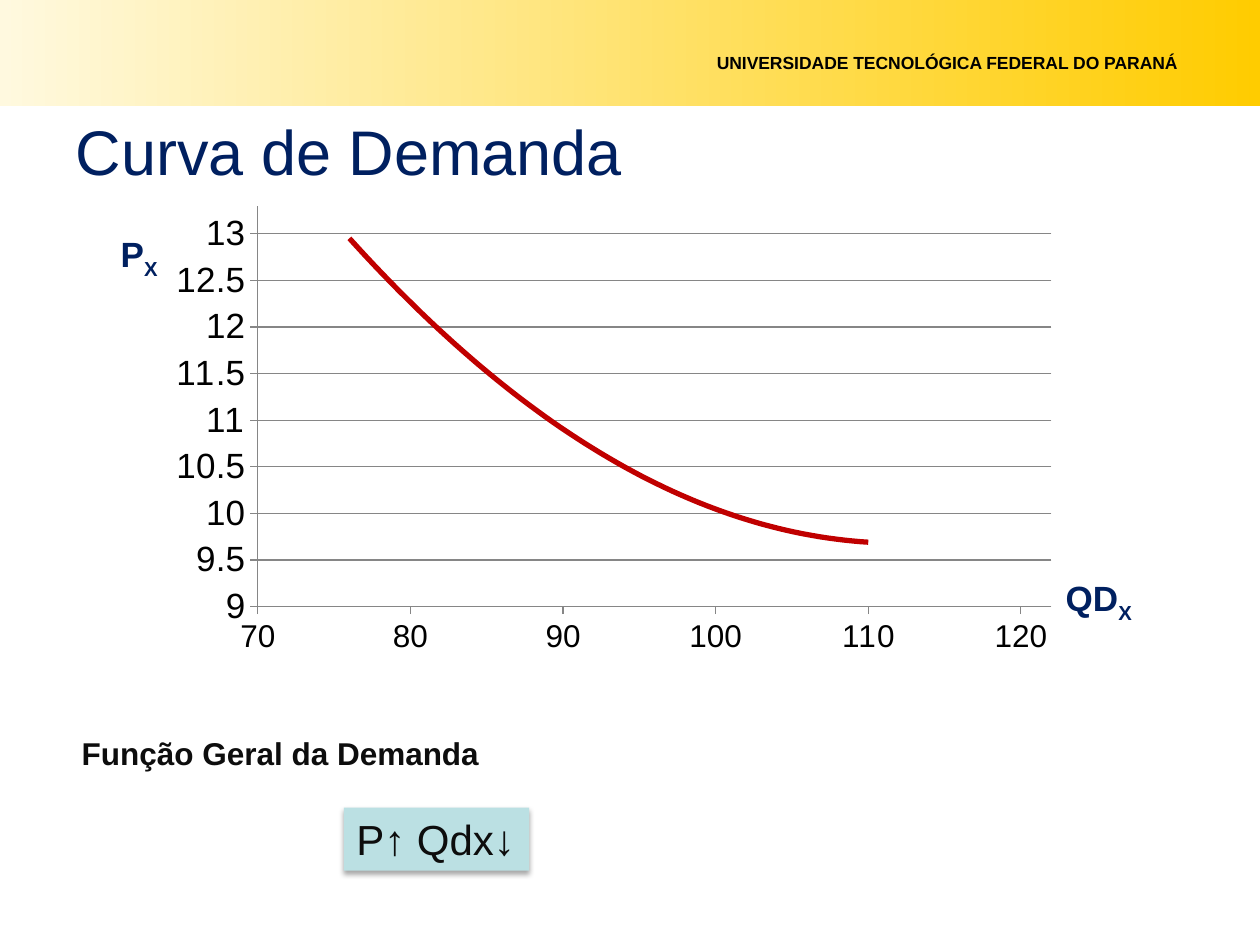
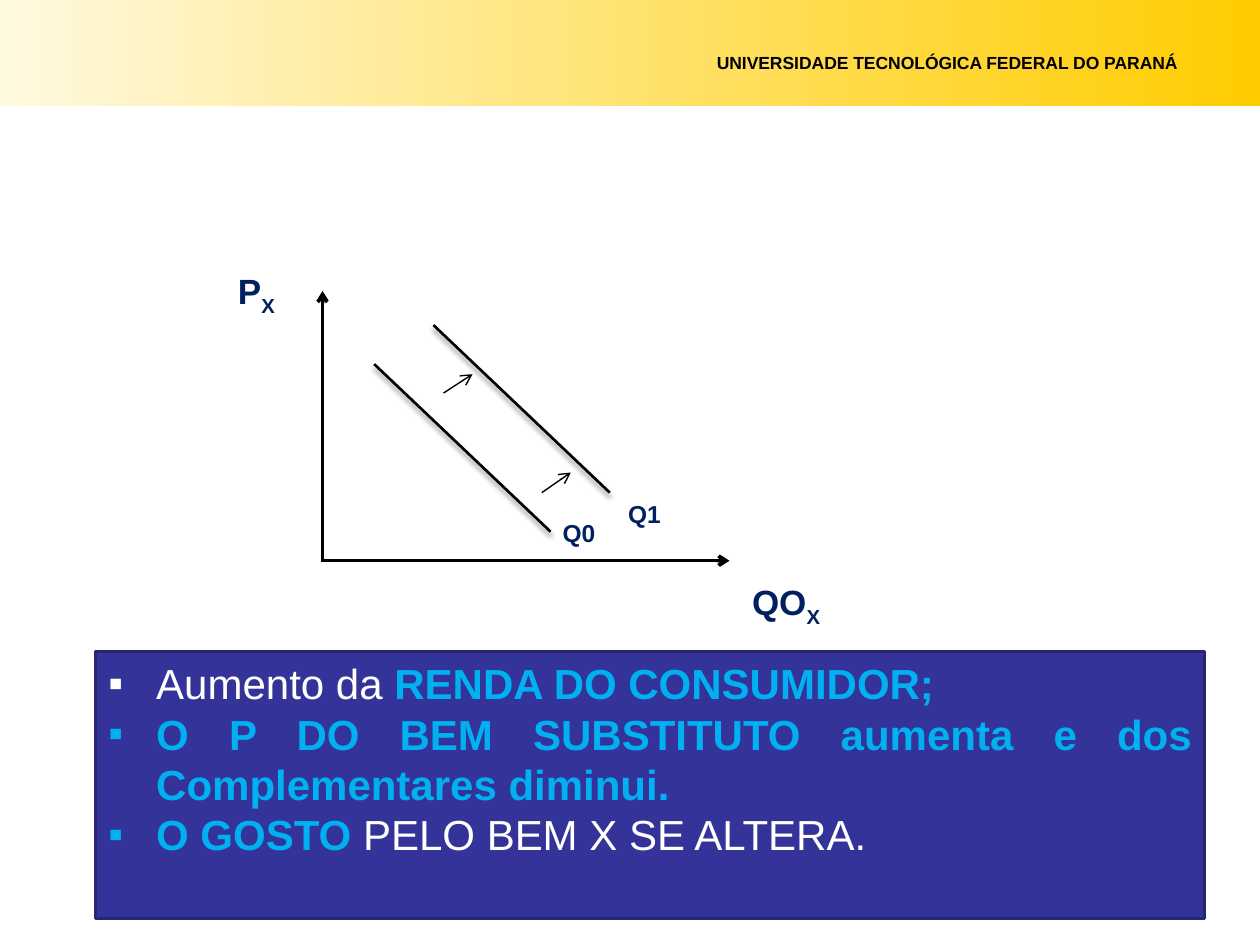
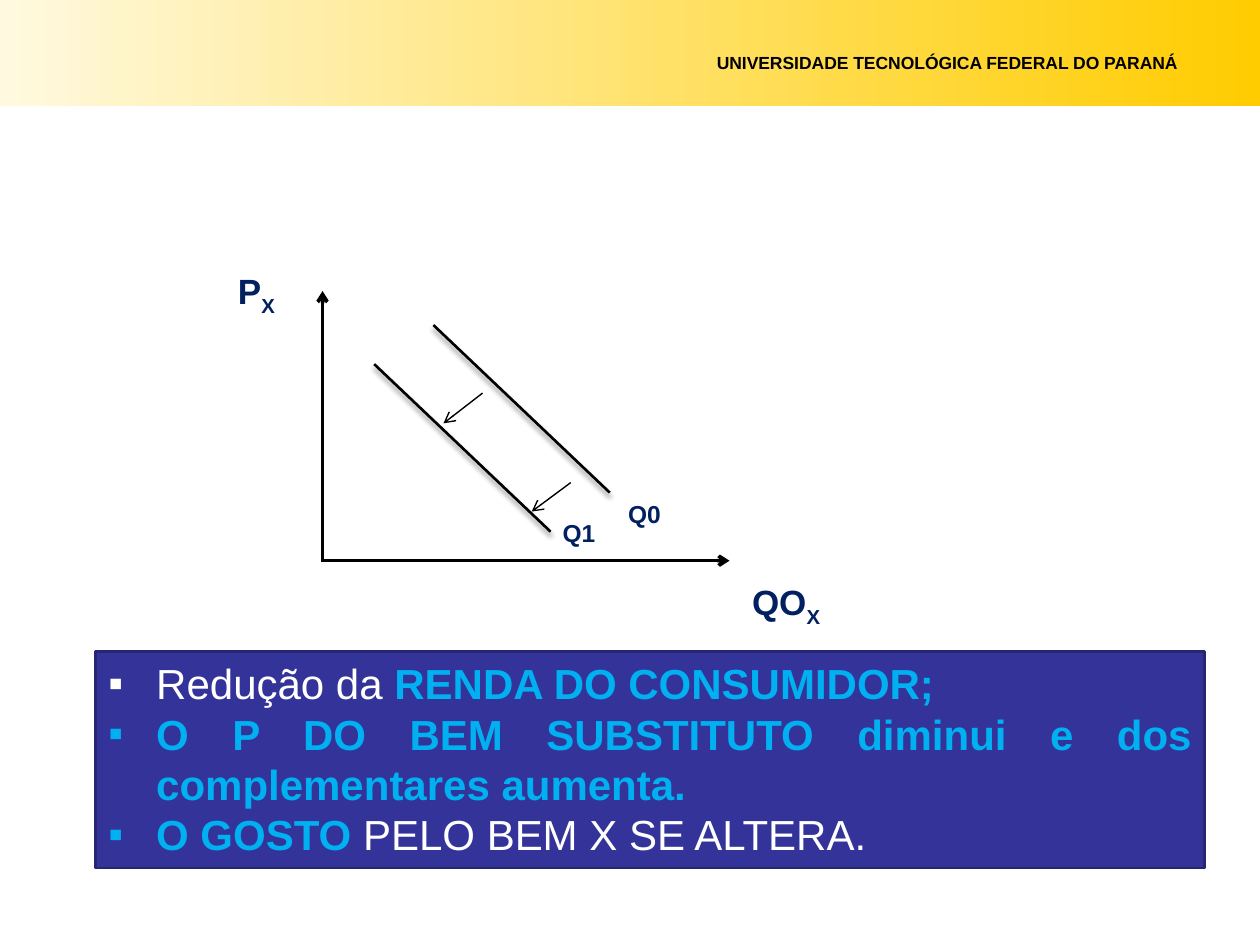
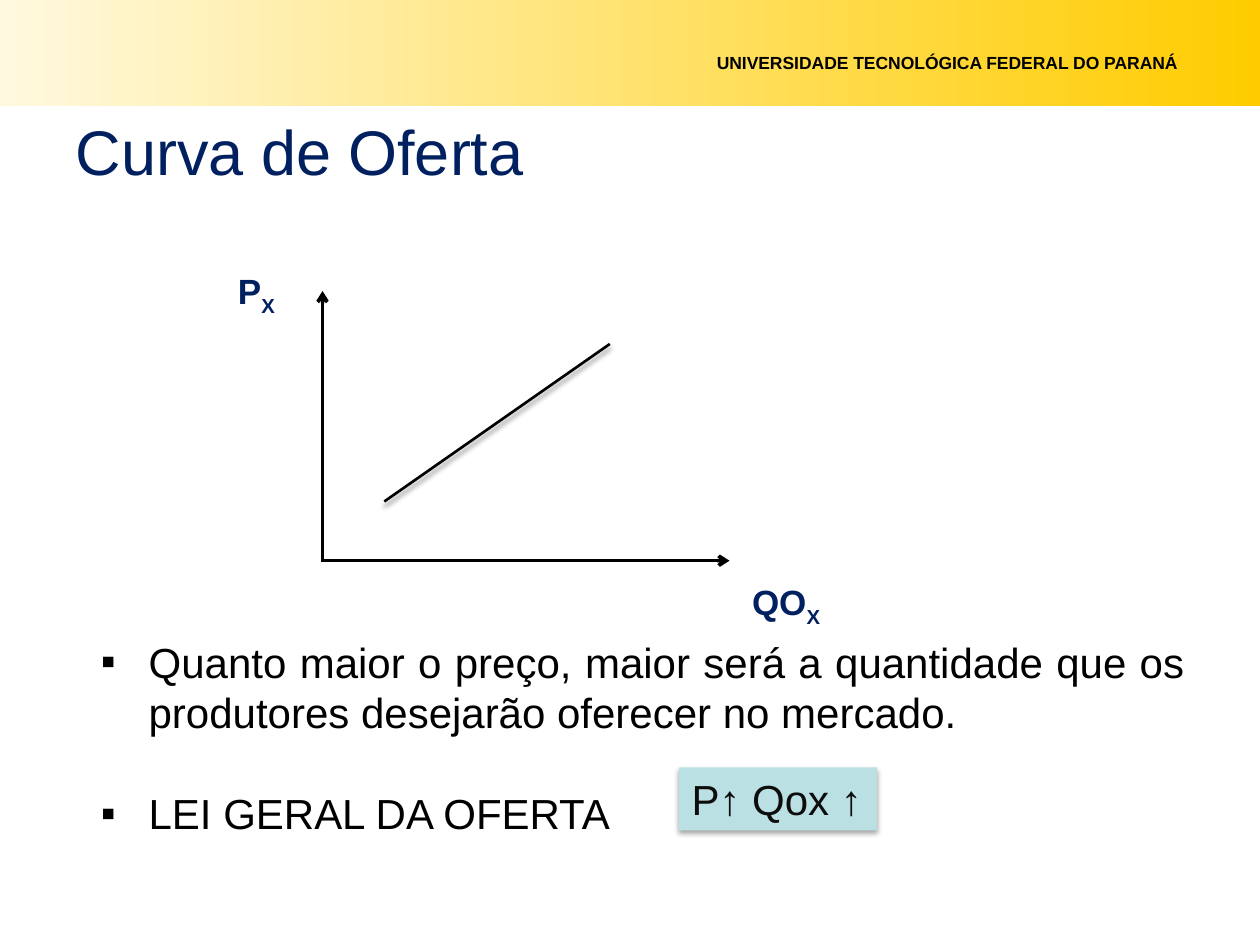
"""Build four slides on the demand and supply curves."""
import lxml.etree
import pptx
import pptx.chart.data
import pptx.dml.color
import pptx.enum.chart
import pptx.enum.shapes
import pptx.enum.text
import pptx.oxml
import pptx.oxml.ns
import pptx.util

PX = 9144
FONT = "Arial"
NAVY, BLACK, INK, WHITE = "002060", "000000", "0D0D0D", "FFFFFF"
CYAN, INDIGO, GREY = "00B0F0", "333399", "868686"
LEFT = pptx.enum.text.PP_ALIGN.LEFT
CENTER = pptx.enum.text.PP_ALIGN.CENTER
RECTANGLE = pptx.enum.shapes.MSO_SHAPE.RECTANGLE
FIT = pptx.enum.text.MSO_AUTO_SIZE.SHAPE_TO_FIT_TEXT
qn = pptx.oxml.ns.qn
rgb = pptx.dml.color.RGBColor.from_string


def write(shape, text, size, color=NAVY, bold=True, align=LEFT, subscript="", wrap=True):
    """Fill a shape with one formatted line and an optional subscript."""
    shape.text_frame.word_wrap = wrap
    para = shape.text_frame.paragraphs[0]
    para.alignment = align
    para.font.name = FONT
    para.font.size = pptx.util.Pt(size)
    para.font.bold = bold
    para.font.color.rgb = rgb(color)
    para.add_run().text = text
    if subscript:
        span = para.add_run()
        span.text = subscript
        span._r.get_or_add_rPr().set("baseline", "-25000")


def set_shadow(shape, opacity=0, distance=0):
    """Give a shape a soft shadow below it, or none at zero opacity."""
    effects = lxml.etree.SubElement(shape.element.spPr, qn("a:effectLst"))
    if opacity:
        shadow = lxml.etree.SubElement(
            effects, qn("a:outerShdw"), blurRad=str(pptx.util.Pt(3)),
            dist=str(pptx.util.Pt(distance)), dir="5400000", rotWithShape="0")
        tint = lxml.etree.SubElement(shadow, qn("a:srgbClr"), val=BLACK)
        lxml.etree.SubElement(tint, qn("a:alpha"), val=str(opacity * 1000))


deck = pptx.Presentation()
deck.slide_width = 1000 * PX
deck.slide_height = 750 * PX
content_layout, title_layout = deck.slide_layouts[1], deck.slide_layouts[5]
demand = deck.slides.add_slide(title_layout)

band = demand.shapes.add_shape(RECTANGLE, 0, 0, 1000 * PX, 84 * PX)
band.fill.gradient()
band.fill.gradient_angle = 0
for stop, color in zip(band.fill.gradient_stops, ("FFF9DF", "FFCC00")):
    stop.color.rgb = rgb(color)
band.line.fill.background()
set_shadow(band)
header = demand.shapes.add_textbox(559 * PX, 36 * PX, 441 * PX, 27 * PX)
write(header, "UNIVERSIDADE TECNOLÓGICA FEDERAL DO PARANÁ", 10, BLACK)
for number, part in enumerate((band, header)):
    part.element.nvSpPr.cNvPr.set("id", str(20 + number))
    deck.slide_master.shapes.element.insert(2 + number, part.element)

points = pptx.chart.data.XyChartData()
curve = points.add_series("Series 1")
for quantity, price in ((76, 13), (81, 12), (90, 11), (100, 10), (110, 9.7)):
    curve.add_data_point(quantity, price)
chart = demand.shapes.add_chart(
    pptx.enum.chart.XL_CHART_TYPE.XY_SCATTER,
    125 * PX, 156 * PX, 724 * PX, 370 * PX, points).chart
chart.has_legend = False
chart.has_title = False
chart.font.name = FONT
chart.font.size = pptx.util.Pt(10)
chart.font.color.rgb = rgb(BLACK)
for axis, low, high, step, size in (
        (chart.category_axis, 70, 122, 10, 18), (chart.value_axis, 9, 13.3, 0.5, 20)):
    axis.minimum_scale, axis.maximum_scale, axis.major_unit = low, high, step
    axis.has_major_gridlines = axis is not chart.category_axis and size == 20
    axis.tick_labels.font.size = pptx.util.Pt(size)
    axis.tick_labels.number_format = "General"
    axis.tick_labels.number_format_is_linked = False
    axis.format.line.color.rgb = rgb(GREY)
chart.value_axis.major_gridlines.format.line.color.rgb = rgb(GREY)

plot = chart.plots[0]
plot.vary_by_categories = False
series = plot.series[0]
series.smooth = False
series.format.line.fill.background()
series.marker.style = pptx.enum.chart.XL_MARKER_STYLE.NONE
trend = pptx.oxml.parse_xml(
    f'<c:trendline {pptx.oxml.ns.nsdecls("c", "a")}><c:spPr><a:ln w="38100">'
    '<a:solidFill><a:srgbClr val="C00000"/></a:solidFill></a:ln></c:spPr>'
    '<c:trendlineType val="poly"/><c:order val="2"/>'
    '<c:dispRSqr val="0"/><c:dispEq val="0"/></c:trendline>')
series._element.find(qn("c:xVal")).addprevious(trend)

plot_area = chart._chartSpace.chart.plotArea
for former in plot_area.findall(qn("c:layout")):
    plot_area.remove(former)
layout = lxml.etree.Element(qn("c:layout"))
manual = lxml.etree.SubElement(layout, qn("c:manualLayout"))
for tag, value in (
        ("layoutTarget", "inner"), ("xMode", "edge"), ("yMode", "edge"),
        ("x", "0.11"), ("y", "0.02"), ("w", "0.87"), ("h", "0.86")):
    lxml.etree.SubElement(manual, qn("c:" + tag), val=value)
plot_area.insert(0, layout)

heading = demand.shapes.add_textbox(55 * PX, 578 * PX, 339 * PX, 40 * PX)
write(heading, "Função Geral da Demanda", 18, INK, wrap=False)

axes = [(256, 445, 579, 445), (256, 446, 256, 231)]
demand_curves = [(297, 289, 437, 422), (344, 258, 484, 391)]
taste = [("O GOSTO ", CYAN, True), ("PELO BEM X SE ALTERA.", WHITE, False)]
graphs = [
    ("", (76, 517, 880, 212), INDIGO, [
        [("Aumento da ", WHITE, False), ("RENDA DO CONSUMIDOR;", CYAN, True)],
        [("O P DO BEM SUBSTITUTO aumenta e dos Complementares diminui.", CYAN, True)],
        taste], demand_curves, ("Q0", "Q1"),
     [(430, 391, 453, 375), (352, 312, 375, 297)]),
    ("", (76, 517, 880, 172), INDIGO, [
        [("Redução da ", WHITE, False), ("RENDA DO CONSUMIDOR;", CYAN, True)],
        [("O P DO BEM SUBSTITUTO diminui e dos complementares aumenta.", CYAN, True)],
        taste], demand_curves, ("Q1", "Q0"),
     [(453, 383, 422, 406), (383, 312, 352, 336)]),
    ("Curva de Oferta", (70, 500, 880, 172), None, [
        [("Quanto maior o preço, maior será a quantidade que os produtores "
          "desejarão oferecer no mercado.", BLACK, False)],
        [("LEI GERAL DA OFERTA", BLACK, False)]],
     [(305, 398, 484, 273)], (), []),
]
titles = [(demand, "Curva de Demanda")]
axis_labels = [(demand, "QD", (836, 453, 75, 44), LEFT), (demand, "P", (86, 180, 75, 44), LEFT)]

for title, place, fill, items, curves, names, shifts in graphs:
    page = deck.slides.add_slide(content_layout)
    titles.append((page, title))
    axis_labels += [(page, "QO", (587, 456, 102, 44), LEFT),
                    (page, "P", (166, 209, 75, 44), CENTER)]

    body = page.placeholders[1]
    body.left, body.top, body.width, body.height = [length * PX for length in place]
    if fill:
        body.fill.solid()
        body.fill.fore_color.rgb = rgb(fill)
        body.line.color.rgb = rgb("262671")
        body.line.width = pptx.util.Pt(1.5)
    frame = body.text_frame
    frame.auto_size = pptx.enum.text.MSO_AUTO_SIZE.NONE
    for index, item in enumerate(items):
        para = frame.add_paragraph() if index else frame.paragraphs[0]
        para.alignment = pptx.enum.text.PP_ALIGN.JUSTIFY
        para.line_spacing = pptx.util.Pt(28.8)
        para.space_before = pptx.util.Pt(0 if fill or not index else 28.8)
        para.font.name = FONT
        para.font.size = pptx.util.Pt(24)
        properties = para._p.get_or_add_pPr()
        properties.set("marL", str(38 * PX))
        properties.set("indent", str(-38 * PX))
        bullet = lxml.etree.Element(qn("a:buChar"), char="▪")
        properties.find(qn("a:defRPr")).addprevious(bullet)
        for text, color, bold in item:
            span = para.add_run()
            span.text = text
            span.font.bold = bold
            span.font.color.rgb = rgb(color)

    for lines, width, arrow, opacity in (
            (axes, 2, True, 0), (curves, 1.5, False, 45), (shifts, 0.79, True, 0)):
        for ends in lines:
            line = page.shapes.add_connector(
                pptx.enum.shapes.MSO_CONNECTOR.STRAIGHT, *[length * PX for length in ends])
            line.line.color.rgb = rgb(BLACK)
            line.line.width = pptx.util.Pt(width)
            if arrow:
                stroke = line.element.spPr.find(qn("a:ln"))
                lxml.etree.SubElement(stroke, qn("a:tailEnd"), type="arrow")
            set_shadow(line, opacity, 2.4)

    for name, place in zip(names, ((422, 406, 75, 34), (484, 391, 55, 34))):
        label = page.shapes.add_textbox(*[length * PX for length in place])
        write(label, name, 14, align=CENTER)

for page, text in titles:
    title = page.shapes.title
    if text:
        title.left, title.top, title.width, title.height = 50 * PX, 84 * PX, 900 * PX, 71 * PX
        write(title, text, 36, bold=False)
    else:
        title.element.getparent().remove(title.element)

for page, text, place, align in axis_labels:
    label = page.shapes.add_textbox(*[length * PX for length in place])
    write(label, text, 20, align=align, subscript="X")

for page, text, place in (
        (demand, "P↑ Qdx↓", (273, 641, 147, 50)),
        (page, "P↑ Qox ↑", (539, 609, 157, 50))):
    law = page.shapes.add_shape(RECTANGLE, *[length * PX for length in place])
    law.fill.solid()
    law.fill.fore_color.rgb = rgb("BBE0E3")
    law.line.fill.background()
    set_shadow(law, 35, 2)
    write(law, text, 24, INK, bold=False, wrap=False)
    law.text_frame.auto_size = FIT

deck.save("out.pptx")
